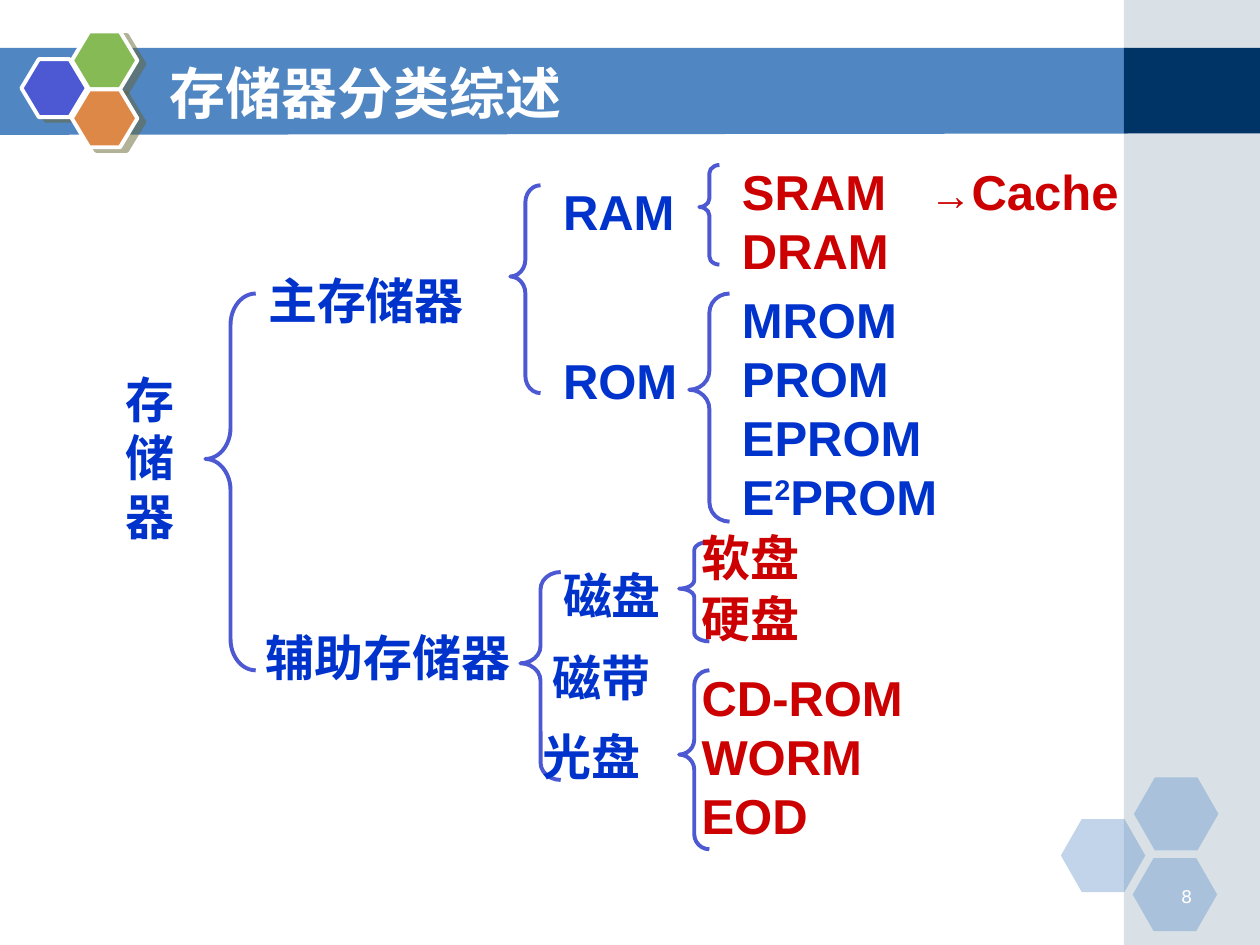
"""Build a slide that classifies computer memory as a tree of braces."""
from lxml import etree
from pptx import Presentation
from pptx import util as u
from pptx.dml.color import RGBColor
from pptx.enum import shapes, text
from pptx.oxml import ns

Inches = u.Inches
COLORS = {"bar": "5086C2", "side": "A0B5C4", "navy": "003366", "violet": "4C59D2",
          "green": "85BA54", "orange": "DE8848", "shadow": "666633",
          "blue": "0033CC", "red": "CC0000", "white": "FFFFFF"}
CJK = "Noto Sans CJK SC"
KINDS = shapes.MSO_SHAPE

presentation = Presentation()
presentation.slide_width, presentation.slide_height = Inches(10), Inches(7.5)
slide = presentation.slides.add_slide(presentation.slide_layouts[6])


def add_shape(kind, box, fill=None, line=None, alpha=None, adjustments=()):
    shape = slide.shapes.add_shape(kind, *map(Inches, box))
    shape.shadow.inherit = False
    for index, value in enumerate(adjustments):
        shape.adjustments[index] = value
    if fill:
        shape.fill.solid()
        shape.fill.fore_color.rgb = RGBColor.from_string(COLORS[fill])
    else:
        shape.fill.background()
    if alpha:
        color = shape.fill._xPr.find(".//" + ns.qn("a:srgbClr"))
        etree.SubElement(color, ns.qn("a:alpha"), val=str(alpha * 1000))
    if line:
        shape.line.color.rgb = RGBColor.from_string(COLORS[line])
        shape.line.width = u.Pt(2.25)
    else:
        shape.line.fill.background()
    return shape


def add_text(box, paragraphs, color, wrap=True, size=28, bold=True, font="Arial", **frame_format):
    frame = slide.shapes.add_textbox(*map(Inches, box)).text_frame
    for name, value in {"word_wrap": wrap, **frame_format}.items():
        setattr(frame, name, value)
    for index, runs in enumerate(paragraphs):
        paragraph = frame.paragraphs[0] if index == 0 else frame.add_paragraph()
        for content, changes in runs:
            run = paragraph.add_run()
            run.text = content
            values = {"size": u.Pt(size), "bold": bold, "name": font, **changes}
            baseline = values.pop("baseline", None)
            for name, value in values.items():
                setattr(run.font, name, value)
            run.font.color.rgb = RGBColor.from_string(COLORS[color])
            if baseline:
                run.font._element.set("baseline", baseline)
            etree.SubElement(run.font._element, ns.qn("a:ea"), typeface=CJK)
    return frame


builder = slide.shapes.build_freeform(Inches(-0.01), Inches(0.38))
builder.add_line_segments([(Inches(x), Inches(y)) for x, y in
                           [(8.95, 0.38), (8.95, 1.06), (-0.01, 1.07)]])
title_bar = builder.convert_to_shape()
title_bar.shadow.inherit = False
title_bar.fill.solid()
title_bar.fill.fore_color.rgb = RGBColor.from_string(COLORS["bar"])
title_bar.line.fill.background()

add_shape(KINDS.RECTANGLE, (8.92, 0, 1.08, 7.5), "side", alpha=40)
add_shape(KINDS.RECTANGLE, (8.92, 0.38, 1.08, 0.68), "navy")

for left, top in [(8.42, 6.5), (9, 6.17), (8.99, 6.81)]:
    add_shape(KINDS.HEXAGON, (left, top, 0.67, 0.58), "bar", alpha=35, adjustments=[0.286])

for left, top, fill in [(0.17, 0.47, "violet"), (0.57, 0.25, "green"), (0.57, 0.71, "orange")]:
    hexagon = add_shape(KINDS.HEXAGON, (left, top, 0.52, 0.46), fill, "white", adjustments=[0.3])
    effects = hexagon._element.spPr.find(ns.qn("a:effectLst"))
    shadow = etree.SubElement(effects, ns.qn("a:outerShdw"), blurRad="0",
                              dist=str(u.Pt(4.5)), dir=str(27 * 60000), rotWithShape="0")
    color = etree.SubElement(shadow, ns.qn("a:srgbClr"), val=COLORS["shadow"])
    etree.SubElement(color, ns.qn("a:alpha"), val="50000")

page_number = add_text((9.06, 6.98, 0.5, 0.25), [[("8", {})]], "white",
                       size=10, bold=False, font="DejaVu Sans")
page_number.paragraphs[0].alignment = text.PP_ALIGN.RIGHT
add_text((1.25, 0.42, 7.33, 0.62), [[("存储器分类综述", {})]], "white", size=32, font=CJK,
         vertical_anchor=text.MSO_ANCHOR.MIDDLE)

braces = [
    (1.63, 2.33, 0.4, 2.99, 0.619, 0.439),
    (4.05, 1.47, 0.24, 1.65, 0.563, 0.439),
    (4.13, 4.54, 0.32, 1.65, 0.429, 0.439),
    (5.55, 1.31, 0.16, 0.79, 0.416, 0.422),
    (5.39, 4.3, 0.24, 0.79, 0.279, 0.471),
    (5.47, 2.33, 0.32, 1.81, 0.478, 0.422),
    (5.39, 5.32, 0.24, 1.42, 0.501, 0.471),
]
for *box, curve, point in braces:
    add_shape(KINDS.LEFT_BRACE, box, line="violet", adjustments=[curve, point])

labels = [
    ("主存储器", 2.03, 2.1, 1.81, "blue", True),
    ("辅助存储器", 2.01, 4.93, 2.15, "blue", False),
    ("RAM", 4.37, 1.39, 1.09, "blue", False),
    ("ROM", 4.37, 2.73, 1.11, "blue", False),
    ("SRAM", 5.79, 1.23, 1.35, "red", False),
    ("DRAM", 5.79, 1.7, 1.37, "red", False),
    ("磁盘", 4.37, 4.44, 1.02, "blue", True),
    ("磁带", 4.29, 5.09, 1.06, "blue", True),
    ("光盘", 4.21, 5.72, 1.14, "blue", True),
    ("软盘", 5.47, 4.14, 0.98, "red", False),
    ("硬盘", 5.47, 4.62, 0.98, "red", True),
]
for label, left, top, width, color, wrap in labels:
    add_text((left, top, width, 0.57), [[(label, {})]], color, wrap)

add_text((0.9, 2.88, 0.68, 1.5), [[("存储器", {})]], "blue")
arrow_format = {"size": u.Pt(24), "name": "Times New Roman"}
add_text((7.28, 1.23, 1.73, 0.57), [[("→", arrow_format), ("Cache", {})]], "red")
rom_types = [[(name, {})] for name in ("MROM", "PROM", "EPROM")]
rom_types.append([("E", {}), ("2", {"baseline": "30000"}), ("PROM", {})])
add_text((5.79, 2.25, 1.77, 1.97), rom_types, "blue", False)
add_text((5.47, 5.25, 1.8, 1.5), [[(name, {})] for name in ("CD-ROM", "WORM", "EOD")], "red", False)

presentation.save("out.pptx")
